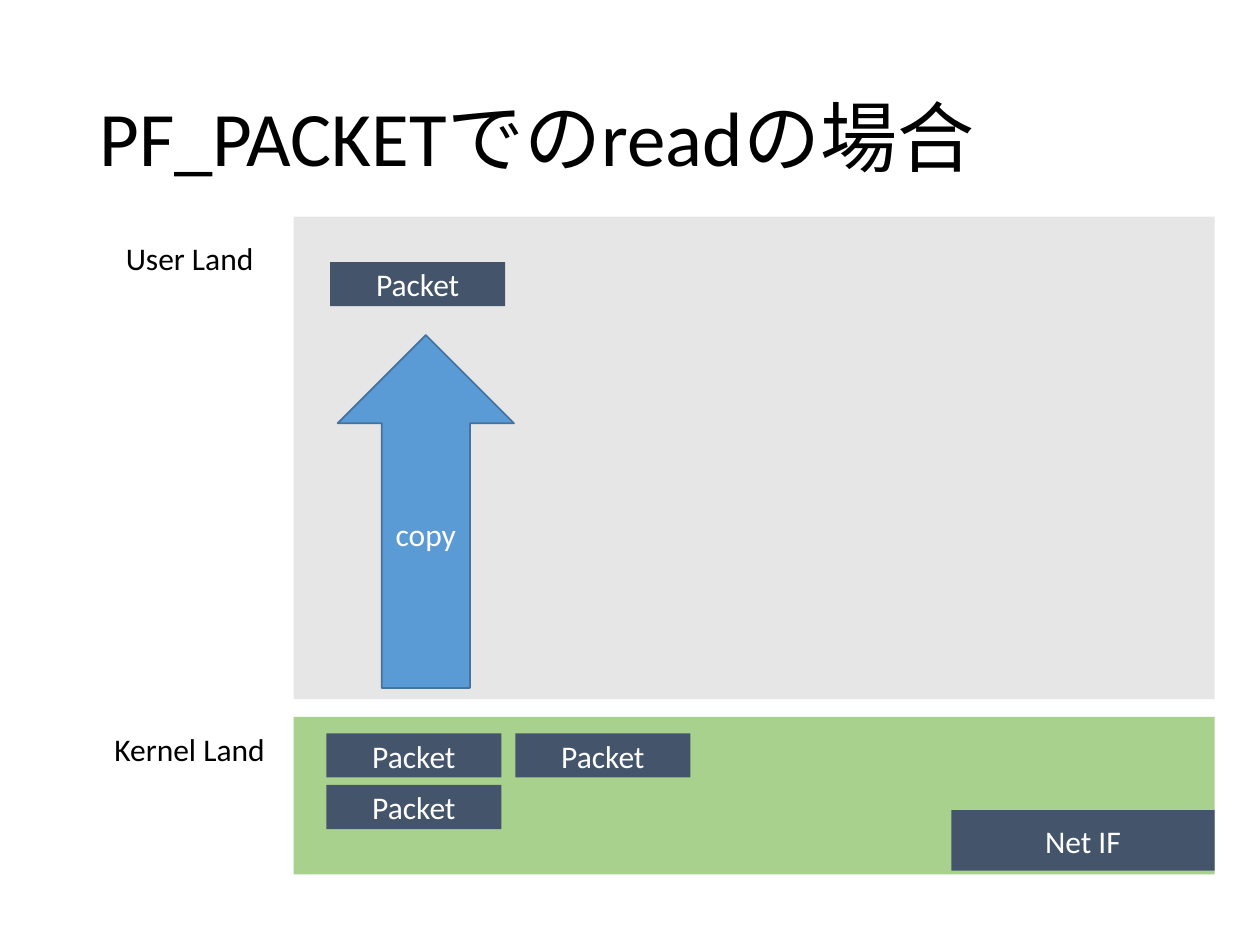
from dataclasses import dataclass

from pptx import Presentation
from pptx.dml.color import RGBColor
from pptx.enum.shapes import MSO_SHAPE
from pptx.enum.text import MSO_ANCHOR, PP_ALIGN
from pptx.util import Inches, Pt

COLS, ROWS = 100, 75
WIDE, HIGH = Inches(10), Inches(7.5)
PACK = (13.9, 3.5)  # columns and rows of one packet


@dataclass(frozen=True)
class Theme:
    """Colours, font and type sizes."""
    font: str = "Calibri"
    head: int = 44
    body: int = 18
    ink: str = "000000"
    pale: str = "FFFFFF"
    user: str = "E7E6E6"
    kernel: str = "A9D18E"
    dark: str = "44546A"
    arrow: str = "5B9BD5"
    edge: str = "43739E"


@dataclass(frozen=True)
class Box:
    """A region measured in columns and rows of the slide grid."""
    left: float
    top: float
    width: float
    height: float

    def sub(self, x, y, width, height):
        """Return a box offset from this box's corner."""
        return Box(self.left + x, self.top + y, width, height)

    def place(self):
        """Return left, top, width and height as slide lengths."""
        col, row = WIDE / COLS, HIGH / ROWS
        return [round(n * unit) for n, unit in
                zip((self.left, self.top, self.width, self.height),
                    (col, row, col, row))]


THEME = Theme()


def assign(item, form):
    """Set attributes of an item from a dict of format values."""
    for name, value in form.items():
        setattr(item, name, value)


def write(frame, lines, size, color, frame_form, para_form):
    """Fill a text frame with one styled paragraph per line."""
    assign(frame, frame_form)
    for i, line in enumerate(lines):
        para = frame.add_paragraph() if i else frame.paragraphs[0]
        assign(para, para_form)
        run = para.add_run()
        run.text = line
        assign(run.font, {"name": THEME.font, "size": Pt(size)})
        run.font.color.rgb = RGBColor.from_string(color)


def block(slide, box, fill, text="", kind=MSO_SHAPE.RECTANGLE, edge=None):
    """Draw a filled shape with an optional centred caption."""
    shape = slide.shapes.add_shape(kind, *box.place())
    shape.shadow.inherit = False
    shape.fill.solid()
    shape.fill.fore_color.rgb = RGBColor.from_string(fill)
    if edge:
        shape.line.color.rgb = RGBColor.from_string(edge)
        shape.line.width = Pt(1)
    else:
        shape.line.fill.background()
    if text:
        write(shape.text_frame, [text], THEME.body, THEME.pale,
              {"word_wrap": True, "vertical_anchor": MSO_ANCHOR.MIDDLE},
              {"alignment": PP_ALIGN.CENTER})


def title(slide, box, text):
    """Write the slide heading."""
    area = slide.shapes.add_textbox(*box.place())
    write(area.text_frame, [text], THEME.head, THEME.ink,
          {"word_wrap": True, "vertical_anchor": MSO_ANCHOR.MIDDLE},
          {"line_spacing": 0.9})


def labels(slide, box, names, gap):
    """Name the lands in one column, set apart by paragraph spacing."""
    area = slide.shapes.add_textbox(*box.place())
    frame = area.text_frame
    write(frame, names, THEME.body, THEME.ink,
          {"word_wrap": False}, {"alignment": PP_ALIGN.CENTER})
    for para in frame.paragraphs[1:]:
        para.space_before = Pt(gap)


def user(slide, box):
    """Draw user land with the copied packet and the copy arrow."""
    block(slide, box, THEME.user)
    block(slide, box.sub(2.9, 3.6, *PACK), THEME.dark, "Packet")
    block(slide, box.sub(3.5, 9.4, 14, 28), THEME.arrow, "copy",
          MSO_SHAPE.UP_ARROW, THEME.edge)


def kernel(slide, box):
    """Draw kernel land with its queued packets and the interface."""
    block(slide, box, THEME.kernel)
    for col, row in ((0, 0), (1, 0), (0, 1)):
        spot = box.sub(2.6 + 15 * col, 1.3 + 4.1 * row, *PACK)
        block(slide, spot, THEME.dark, "Packet")
    width, height = 20.9, 4.8
    port = box.sub(box.width - width, 7.4, width, height)
    block(slide, port, THEME.dark, "Net IF")


def main():
    """Build and save the slide."""
    deck = Presentation()
    assign(deck, {"slide_width": WIDE, "slide_height": HIGH})
    slide = deck.slides.add_slide(deck.slide_layouts[6])
    title(slide, Box(6.9, 4, 86.2, 14.5), "PF_PACKETでのreadの場合")
    kernel(slide, Box(23.3, 56.9, 73.1, 12.5))
    user(slide, Box(23.3, 17.2, 73.1, 38.3))
    labels(slide, Box(8, 18.5, 14.1, 43.4), ["User Land", "Kernel Land"], 259)
    deck.save("out.pptx")


main()
